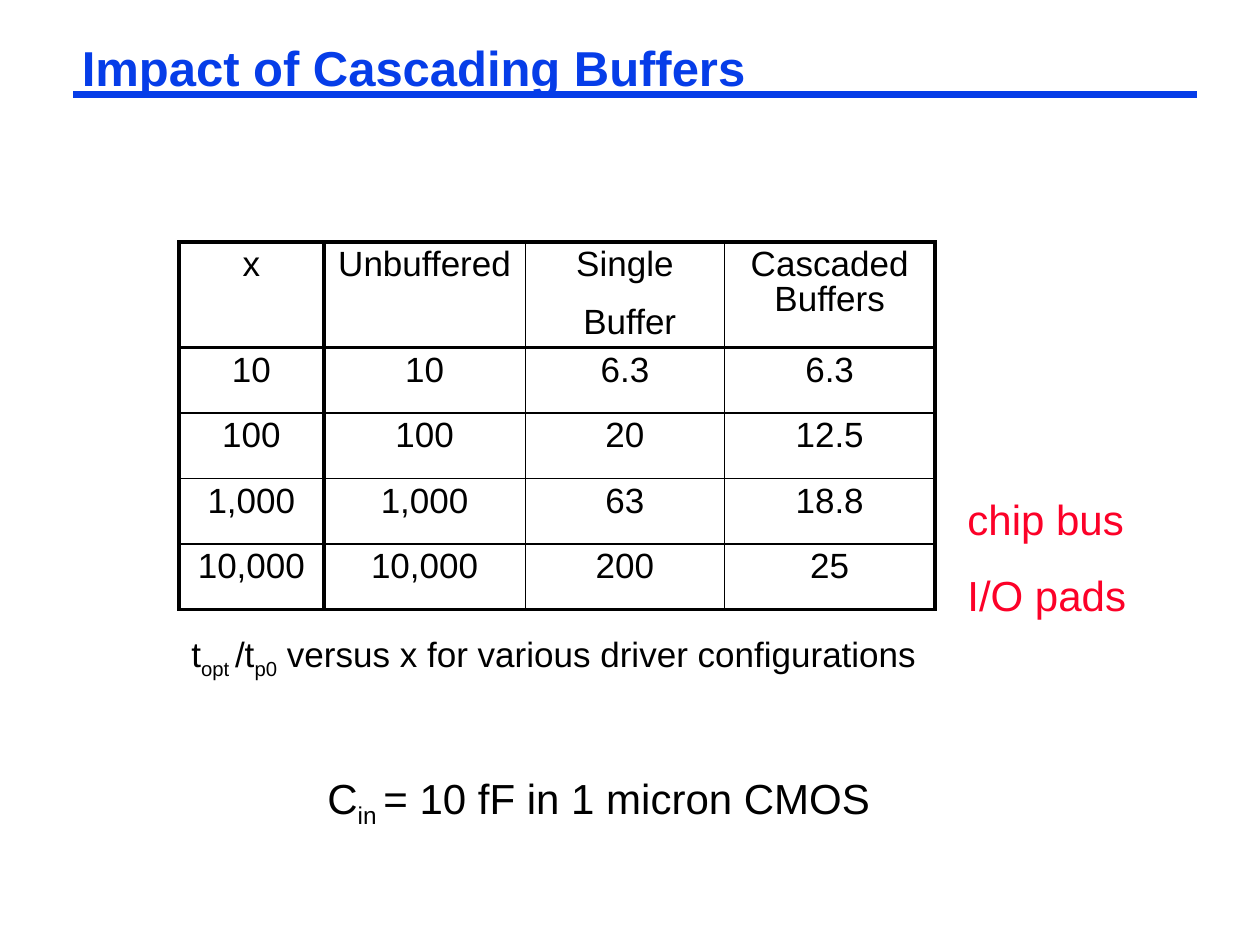
from lxml import etree
from pptx import Presentation
from pptx.dml.color import RGBColor
from pptx.enum import shapes, text
from pptx.oxml import ns
from pptx.util import Inches, Pt

COLORS = {"title": "063DE8", "text": "000000", "note": "FC0128"}
FONT = "Arial"
THICK, THIN = 2.25, 1
COLUMN_WIDTHS = [1.15, 1.6, 1.58, 1.67]
HEADER_HEIGHT, ROW_HEIGHT = 0.84, 0.52
ROWS = [
    ["x", "Unbuffered", "Single\n Buffer", "Cascaded Buffers"],
    ["10", "10", "6.3", "6.3"],
    ["100", "100", "20", "12.5"],
    ["1,000", "1,000", "63", "18.8"],
    ["10,000", "10,000", "200", "25"],
]


def style(paragraph, size, color="text", bold=False):
    font = paragraph.font
    font.name, font.size, font.bold = FONT, Pt(size), bold
    font.color.rgb = RGBColor.from_string(COLORS[color])


def add_title(slide, left, top, width, height, wording):
    rule_top = top + 0.42
    rule = slide.shapes.add_connector(
        shapes.MSO_CONNECTOR.STRAIGHT,
        Inches(left), Inches(rule_top), Inches(left + width), Inches(rule_top))
    rule.line.color.rgb = RGBColor.from_string(COLORS["title"])
    rule.line.width = Pt(4.5)
    etree.SubElement(rule._element.spPr, ns.qn("a:effectLst"))

    title = slide.shapes.title
    title.left, title.top = Inches(left), Inches(top)
    title.width, title.height = Inches(width), Inches(height)
    frame = title.text_frame
    frame.text = wording
    frame.margin_left = frame.margin_right = Inches(0.07)
    frame.margin_top = frame.margin_bottom = Inches(0.03)
    frame.vertical_anchor = text.MSO_ANCHOR.TOP
    paragraph = frame.paragraphs[0]
    paragraph.alignment = text.PP_ALIGN.LEFT
    paragraph.line_spacing = 0.87
    style(paragraph, 28, "title", bold=True)


def set_borders(cell, widths):
    """Draw the left, right, top and bottom borders, in that order."""
    properties = cell._tc.get_or_add_tcPr()
    for position, (side, width) in enumerate(zip("LRTB", widths)):
        line = etree.Element(ns.qn(f"a:ln{side}"), w=str(Pt(width)))
        fill = etree.SubElement(line, ns.qn("a:solidFill"))
        etree.SubElement(fill, ns.qn("a:srgbClr"), val=COLORS["text"])
        properties.insert(position, line)


def add_delay_table(slide, left, top):
    heights = [HEADER_HEIGHT] + [ROW_HEIGHT] * (len(ROWS) - 1)
    table = slide.shapes.add_table(
        len(ROWS), len(COLUMN_WIDTHS), Inches(left), Inches(top),
        Inches(sum(COLUMN_WIDTHS)), Inches(sum(heights))).table
    table.horz_banding = False
    for column, width in zip(table.columns, COLUMN_WIDTHS):
        column.width = Inches(width)
    # The frame and the lines beside the first row and column are thick.
    row_lines = [THICK, THICK] + [THIN] * (len(ROWS) - 2) + [THICK]
    column_lines = [THICK, THICK] + [THIN] * (len(COLUMN_WIDTHS) - 2) + [THICK]
    for r, values in enumerate(ROWS):
        table.rows[r].height = Inches(heights[r])
        for c, value in enumerate(values):
            cell = table.cell(r, c)
            cell.fill.background()
            cell.text = value
            for paragraph in cell.text_frame.paragraphs:
                paragraph.alignment = text.PP_ALIGN.CENTER
                paragraph.line_spacing = 0.9
                paragraph.space_before = Pt(13)
                style(paragraph, 20)
            set_borders(cell, column_lines[c:c + 2] + row_lines[r:r + 2])


def add_text_box(slide, left, top, width, height):
    box = slide.shapes.add_textbox(
        Inches(left), Inches(top), Inches(width), Inches(height))
    box.text_frame.word_wrap = False
    return box.text_frame


def add_formula(slide, left, top, width, height, parts, size):
    """Write parts in turn on the baseline and as subscripts."""
    paragraph = add_text_box(slide, left, top, width, height).paragraphs[0]
    style(paragraph, size)
    for index, part in enumerate(parts):
        run = paragraph.add_run()
        run.text = part
        if index % 2:
            run._r.get_or_add_rPr().set("baseline", "-25000")


def add_row_notes(slide, left, top, width, height, notes):
    frame = add_text_box(slide, left, top, width, height)
    frame.text = "\n".join(notes)
    for paragraph in frame.paragraphs:
        paragraph.line_spacing = 1.5
        style(paragraph, 24, "note")


def main():
    presentation = Presentation()
    presentation.slide_width, presentation.slide_height = Inches(10), Inches(7.5)
    slide = presentation.slides.add_slide(presentation.slide_layouts[5])
    add_title(slide, 0.58, 0.33, 8.92, 0.46, "Impact of Cascading Buffers")
    add_delay_table(slide, 1.42, 1.92)
    add_formula(slide, 2.5, 6.08, 4.54, 0.5,
                ["C", "in ", "= 10 fF in 1 micron CMOS"], 24)
    add_formula(slide, 1.42, 4.97, 5.99, 0.43,
                ["t", "opt ", "/t", "p0",
                 " versus x for various driver configurations"], 20)
    add_row_notes(slide, 7.58, 3.67, 1.46, 1.3, ["chip bus", "I/O pads"])
    presentation.save("out.pptx")


if __name__ == "__main__":
    main()
